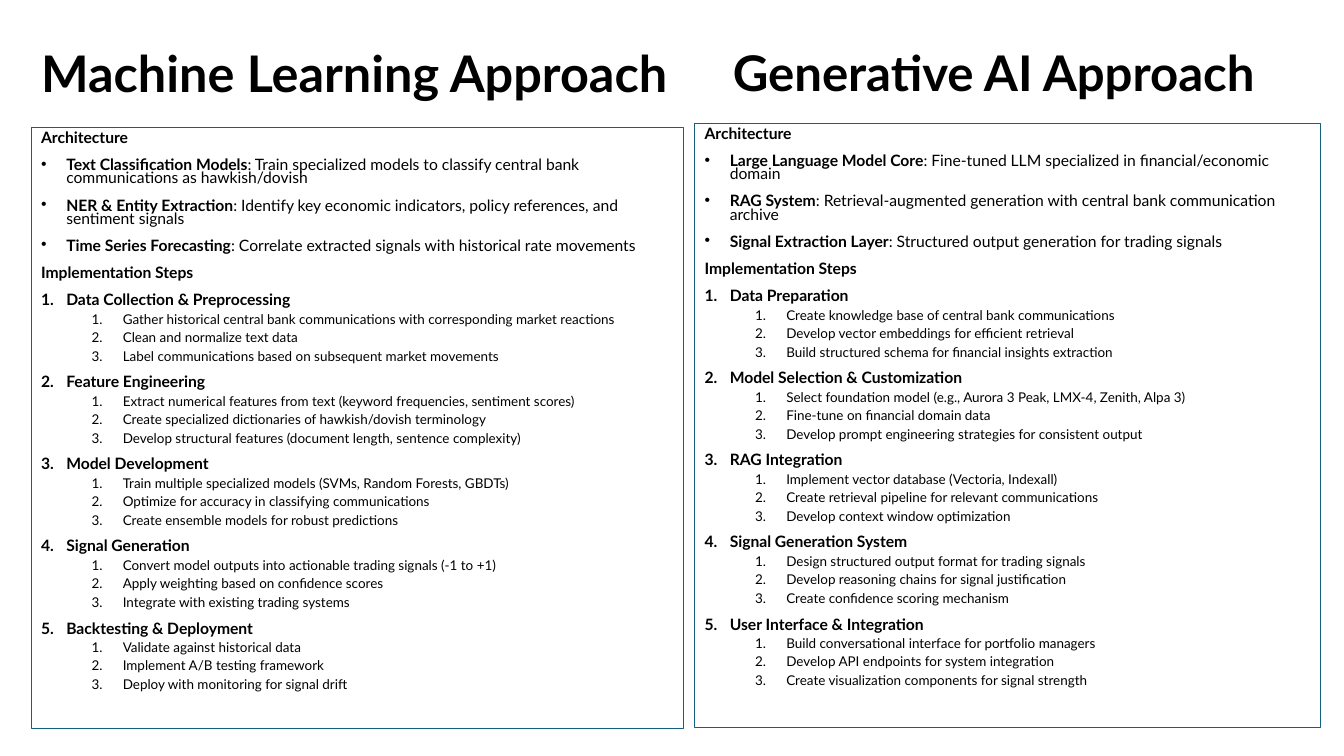
from lxml.etree import SubElement
from pptx import Presentation
from pptx.dml.color import RGBColor
from pptx.enum.shapes import MSO_SHAPE
from pptx.enum.text import MSO_ANCHOR, PP_ALIGN
from pptx.oxml.ns import qn
from pptx.util import Inches, Pt

BLACK = RGBColor(0x00, 0x00, 0x00)
TEAL = RGBColor(0x15, 0x60, 0x82)
FONT = "Lato"
HEADING_SIZE, STEP_SIZE = 11.2, 9.6

ML_MODELS = [
    ("Text Classification Models", "Train specialized models to classify central bank communications as hawkish/dovish"),
    ("NER & Entity Extraction", "Identify key economic indicators, policy references, and sentiment signals"),
    ("Time Series Forecasting", "Correlate extracted signals with historical rate movements"),
]
ML_STEPS = {
    "Data Collection & Preprocessing": [
        "Gather historical central bank communications with corresponding market reactions",
        "Clean and normalize text data",
        "Label communications based on subsequent market movements",
    ],
    "Feature Engineering": [
        "Extract numerical features from text (keyword frequencies, sentiment scores)",
        "Create specialized dictionaries of hawkish/dovish terminology",
        "Develop structural features (document length, sentence complexity)",
    ],
    "Model Development": [
        "Train multiple specialized models (SVMs, Random Forests, GBDTs)",
        "Optimize for accuracy in classifying communications",
        "Create ensemble models for robust predictions",
    ],
    "Signal Generation": [
        "Convert model outputs into actionable trading signals (-1 to +1)",
        "Apply weighting based on confidence scores",
        "Integrate with existing trading systems",
    ],
    "Backtesting & Deployment": [
        "Validate against historical data",
        "Implement A/B testing framework",
        "Deploy with monitoring for signal drift",
    ],
}
AI_LAYERS = [
    ("Large Language Model Core", "Fine-tuned LLM specialized in financial/economic domain"),
    ("RAG System", "Retrieval-augmented generation with central bank communication archive"),
    ("Signal Extraction Layer", "Structured output generation for trading signals"),
]
AI_STEPS = {
    "Data Preparation": [
        "Create knowledge base of central bank communications",
        "Develop vector embeddings for efficient retrieval",
        "Build structured schema for financial insights extraction",
    ],
    "Model Selection & Customization": [
        "Select foundation model (e.g., Aurora 3 Peak, LMX-4, Zenith, Alpa 3)",
        "Fine-tune on financial domain data",
        "Develop prompt engineering strategies for consistent output",
    ],
    "RAG Integration": [
        "Implement vector database (Vectoria, Indexall)",
        "Create retrieval pipeline for relevant communications",
        "Develop context window optimization",
    ],
    "Signal Generation System": [
        "Design structured output format for trading signals",
        "Develop reasoning chains for signal justification",
        "Create confidence scoring mechanism",
    ],
    "User Interface & Integration": [
        "Build conversational interface for portfolio managers",
        "Develop API endpoints for system integration",
        "Create visualization components for signal strength",
    ],
}


def add_run(paragraph, text, size, bold):
    run = paragraph.add_run()
    run.text = text
    run.font.name = FONT
    run.font.size = Pt(size)
    run.font.bold = bold
    run.font.color.rgb = BLACK


def add_title(slide, text, size, left, top, width, height):
    title = slide.shapes.add_textbox(Inches(left), Inches(top), Inches(width), Inches(height))
    frame = title.text_frame
    frame.word_wrap = True
    frame.vertical_anchor = MSO_ANCHOR.MIDDLE
    frame.paragraphs[0].line_spacing = 0.9
    add_run(frame.paragraphs[0], text, size, True)


def add_panel(slide, left, top, width, height):
    """Add an outlined rectangle and return its text frame."""
    panel = slide.shapes.add_shape(
        MSO_SHAPE.RECTANGLE, Inches(left), Inches(top), Inches(width), Inches(height))
    panel.shadow.inherit = False
    panel.fill.background()
    panel.line.color.rgb = TEAL
    panel.line.width = Pt(0.75)
    frame = panel.text_frame
    frame.word_wrap = True
    frame.vertical_anchor = MSO_ANCHOR.TOP
    return frame


def set_marker(properties, marker):
    """Set a bullet, a number or no marker on paragraph properties."""
    if marker == "bullet":
        SubElement(properties, qn("a:buFont"), typeface="Arial")
        SubElement(properties, qn("a:buChar"), char="•")
    elif marker == "number":
        SubElement(properties, qn("a:buFont"), typeface="+mj-lt")
        SubElement(properties, qn("a:buAutoNum"), type="arabicPeriod")
    else:
        SubElement(properties, qn("a:buNone"))


def add_entry(frame, marker=None, level=0):
    """Return a new paragraph, using the frame's first one while it is empty."""
    first = frame.paragraphs[0]
    paragraph = frame.add_paragraph() if first.runs else first
    paragraph.alignment = PP_ALIGN.LEFT
    paragraph.level = level
    paragraph.line_spacing = 0.7
    paragraph.space_before = Pt(5 if level else 10)
    margin, hanging = (0.81, 0.31) if level else (0.25, 0.25)
    properties = paragraph._p.get_or_add_pPr()
    properties.set("marL", str(Inches(margin)))
    properties.set("indent", str(-Inches(hanging)))
    set_marker(properties, marker)
    return paragraph


def fill_panel(frame, architecture, steps):
    add_run(add_entry(frame), "Architecture", HEADING_SIZE, True)
    for name, description in architecture:
        paragraph = add_entry(frame, "bullet")
        add_run(paragraph, name, HEADING_SIZE, True)
        add_run(paragraph, f": {description}", HEADING_SIZE, False)
    add_run(add_entry(frame), "Implementation Steps", HEADING_SIZE, True)
    for step, tasks in steps.items():
        add_run(add_entry(frame, "number"), step, HEADING_SIZE, True)
        for task in tasks:
            add_run(add_entry(frame, "number", level=1), task, STEP_SIZE, False)


def main():
    presentation = Presentation()
    presentation.slide_width = Inches(13.33)
    presentation.slide_height = Inches(7.5)
    slide = presentation.slides.add_slide(presentation.slide_layouts[6])

    add_title(slide, "Machine Learning Approach", 36, 0.31, 0.4, 6.62, 0.72)
    fill_panel(add_panel(slide, 0.31, 1.27, 6.47, 5.96), ML_MODELS, ML_STEPS)
    add_title(slide, "Generative AI Approach", 35.1, 7.17, 0.4, 5.92, 0.7)
    fill_panel(add_panel(slide, 6.89, 1.23, 6.21, 5.99), AI_LAYERS, AI_STEPS)

    presentation.save("out.pptx")


if __name__ == "__main__":
    main()
